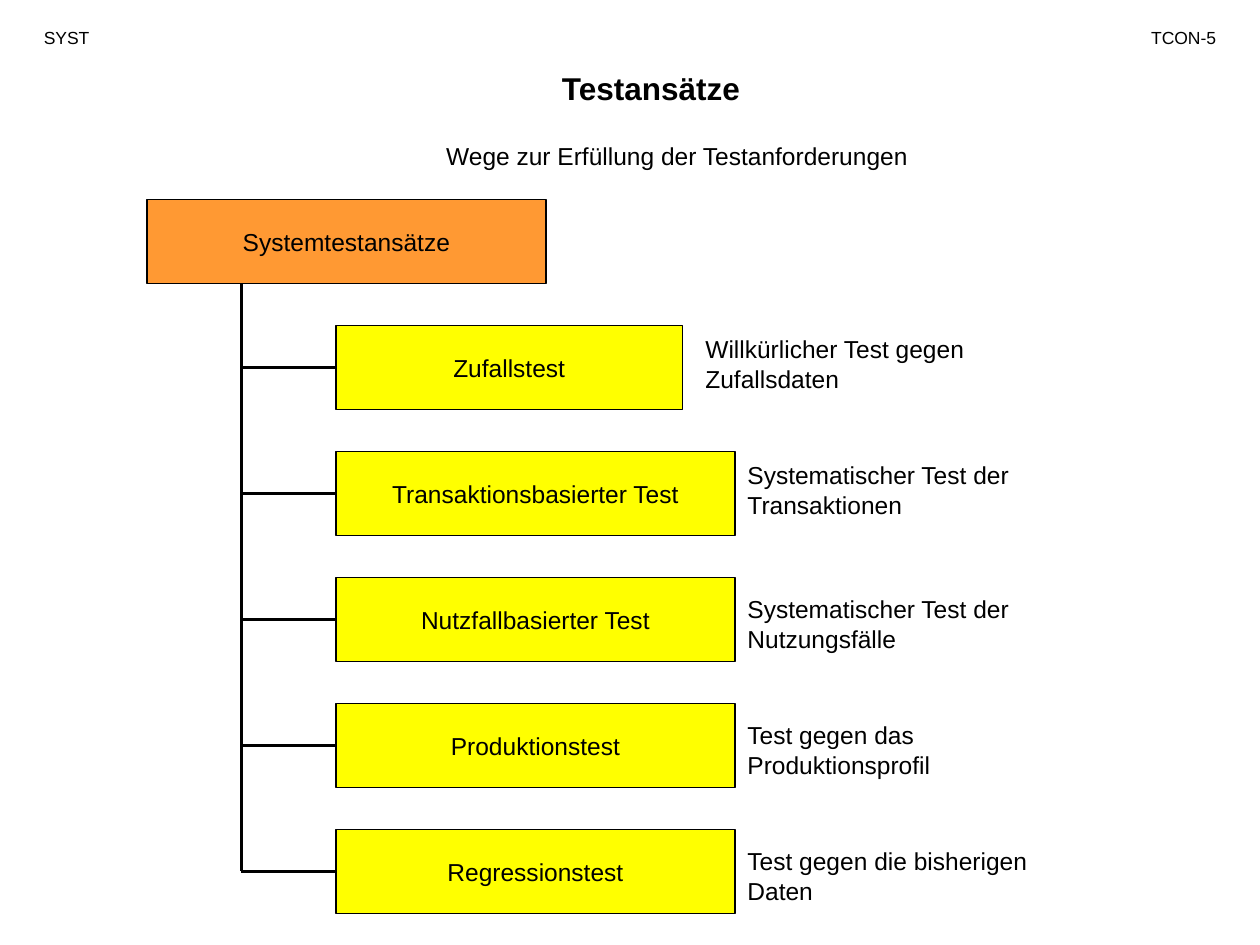
from dataclasses import dataclass

from lxml import etree
from pptx import Presentation
from pptx.dml.color import RGBColor
from pptx.enum.shapes import MSO_CONNECTOR, MSO_SHAPE
from pptx.enum.text import MSO_ANCHOR, MSO_AUTO_SIZE, PP_ALIGN
from pptx.oxml.ns import qn
from pptx.util import Pt

LEFT, CENTER, RIGHT = PP_ALIGN.LEFT, PP_ALIGN.CENTER, PP_ALIGN.RIGHT
TOP, MIDDLE = MSO_ANCHOR.TOP, MSO_ANCHOR.MIDDLE
NO_FIT = MSO_AUTO_SIZE.NONE
RECTANGLE = MSO_SHAPE.RECTANGLE
STRAIGHT = MSO_CONNECTOR.STRAIGHT
LEFT_SIDE = 1
EMU_PER_PX = 9525
TITLE_ONLY = 5


@dataclass(frozen=True)
class Theme:
    font: str = "Arial"
    ink: str = "000000"
    root: str = "FF9933"
    approach: str = "FFFF00"
    title_size: int = 18
    body_size: int = 14
    header_size: int = 10
    outline: float = 0.75
    branch: float = 1.5


THEME = Theme()

# name, box width, description, description left, description drop below box top
APPROACHES = [
    ("Zufallstest", 264, "Willkürlicher Test gegen Zufallsdaten", 272, 2),
    ("Transaktionsbasierter Test", 304,
     "Systematischer Test der Transaktionen", 304, 2),
    ("Nutzfallbasierter Test", 304,
     "Systematischer Test der Nutzungsfälle", 304, 8),
    ("Produktionstest", 304, "Test gegen das Produktionsprofil", 304, 8),
    ("Regressionstest", 304, "Test gegen die bisherigen Daten", 304, 8),
]


def px(*lengths):
    return [length * EMU_PER_PX for length in lengths]


def write(shape, text, size=THEME.body_size, align=LEFT, anchor=TOP,
          bold=False, wrap=True):
    frame = shape.text_frame
    frame.auto_size = NO_FIT
    frame.word_wrap = wrap
    frame.vertical_anchor = anchor
    para = frame.paragraphs[0]
    para.alignment = align
    span = para.add_run()
    span.text = text
    span.font.name = THEME.font
    span.font.size = Pt(size)
    span.font.bold = bold
    span.font.color.rgb = RGBColor.from_string(THEME.ink)


def add_label(page, box, text, **style):
    write(page.shapes.add_textbox(*px(*box)), text, **style)


def add_node(page, box, text, fill):
    node = page.shapes.add_shape(RECTANGLE, *px(*box))
    node.shadow.inherit = False
    node.fill.solid()
    node.fill.fore_color.rgb = RGBColor.from_string(fill)
    node.line.color.rgb = RGBColor.from_string(THEME.ink)
    node.line.width = Pt(THEME.outline)
    write(node, text, align=CENTER, anchor=MIDDLE, wrap=False)
    return node


def add_line(page, start, end):
    line = page.shapes.add_connector(STRAIGHT, *px(*start, *end))
    line.line.color.rgb = RGBColor.from_string(THEME.ink)
    line.line.width = Pt(THEME.branch)
    etree.SubElement(line._element.spPr, qn("a:effectLst"))
    return line


def add_header(page, box):
    left, top, width, height = box
    add_label(page, (left, top, 88, 26), "SYST", size=THEME.header_size)
    add_label(page, (left + width - 96, top, 96, 26), "TCON-5",
              size=THEME.header_size, align=RIGHT)
    title = page.shapes.title
    title.left, title.top, title.width, title.height = px(
        left + 184, top + 32, 576, 38)
    write(title, "Testansätze", size=THEME.title_size, align=CENTER, bold=True)
    add_label(page, (left + 280, top + height - 33, 424, 33),
              "Wege zur Erfüllung der Testanforderungen", align=CENTER)


def add_tree(page, box):
    """Draw the root with one branch, node and description per approach."""
    left, top, width, height = box
    node_height = 64
    pitch = (height - node_height) // len(APPROACHES)
    trunk_x, node_x = left + 72, left + 144
    add_node(page, (left, top, 304, node_height), "Systemtestansätze",
             THEME.root)
    for row, (name, node_width, note, note_x, drop) in enumerate(APPROACHES, 1):
        node_y = top + row * pitch
        middle = node_y + node_height // 2
        node = add_node(page, (node_x, node_y, node_width, node_height), name,
                        THEME.approach)
        branch = add_line(page, (node_x, middle), (trunk_x, middle))
        branch.begin_connect(node, LEFT_SIDE)
        note_left = node_x + note_x
        add_label(page, (note_left, node_y + drop, left + width - note_left, 55),
                  note)
    add_line(page, (trunk_x, top + node_height), (trunk_x, middle))


def main():
    deck = Presentation()
    deck.slide_width, deck.slide_height = px(960, 720)
    page = deck.slides.add_slide(deck.slide_layouts[TITLE_ONLY])
    add_header(page, (24, 16, 912, 120))
    add_tree(page, (112, 152, 712, 544))
    deck.save("out.pptx")


if __name__ == "__main__":
    main()
